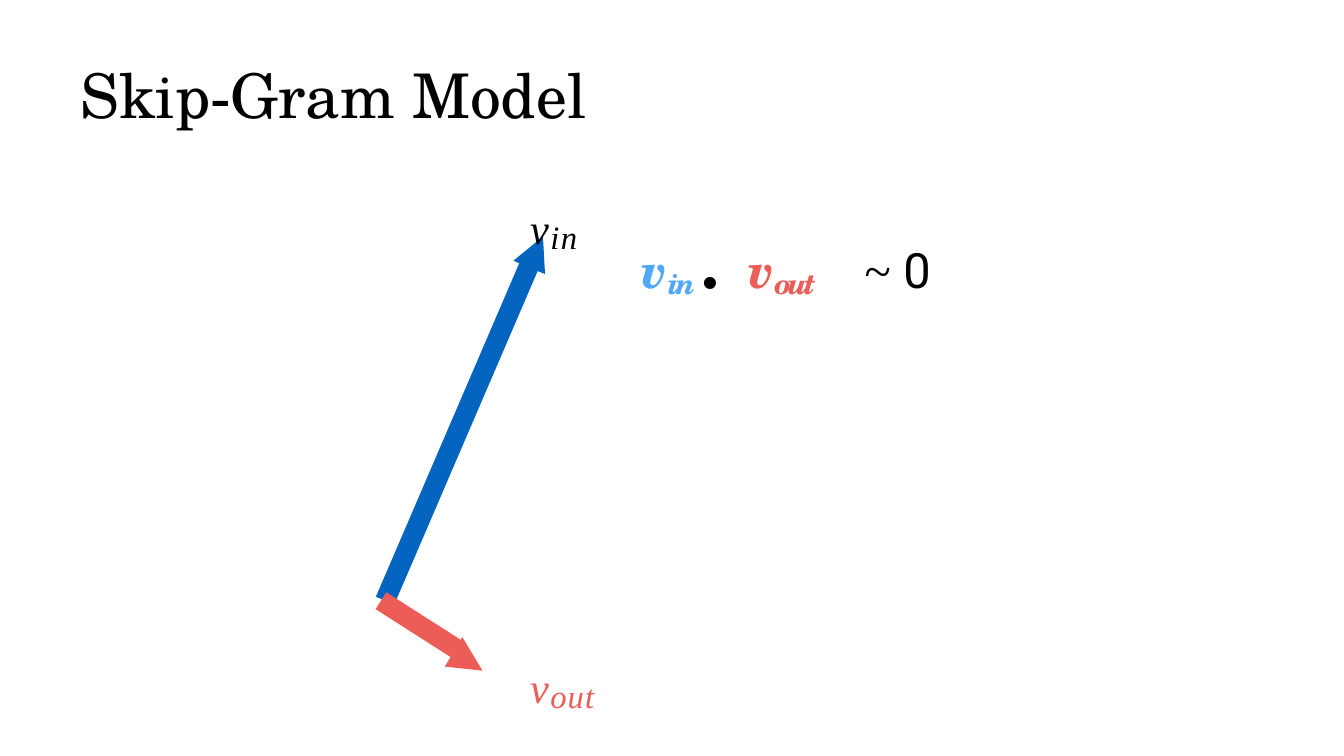
from lxml import etree
from pptx import Presentation, util as u
from pptx.dml.color import RGBColor
from pptx.enum import shapes, text
from pptx.oxml.ns import qn

PX = 4572  # EMU in one px, 200 px to the inch
COLORS = {"black": "000000", "blue": "0365C0", "sky": "51A7F9", "red": "EC5D57"}
SERIF, SCHOLA, SANS = "Times New Roman", "TeX Gyre Schola", "Roboto"


def px(value):
    return u.Emu(value * PX)


def color(name):
    return RGBColor.from_string(COLORS[name])


def add_text_box(slide, box, runs, anchor=text.MSO_ANCHOR.TOP):
    """Each run is (text, size, font, color, bold, italic, baseline %, spacing pt)."""
    shape = slide.shapes.add_textbox(*map(px, box))
    frame = shape.text_frame
    frame.word_wrap = True
    frame.vertical_anchor = anchor
    paragraph = frame.paragraphs[0]
    for words, size, font, name, bold, italic, baseline, spacing in runs:
        run = paragraph.add_run()
        run.text = words
        run.font.size = u.Pt(size)
        run.font.name = font
        run.font.color.rgb = color(name)
        run.font.bold, run.font.italic = bold, italic
    for properties, run in zip(shape.element.iter(qn("a:rPr")), runs):
        properties.set("baseline", str(round(run[6] * 1000)))
        properties.set("spc", str(round(run[7] * 100)))
    return shape


def fit_tightly(shape, space_before):
    frame = shape.text_frame
    frame.margin_left = frame.margin_right = frame.margin_bottom = 0
    frame.margin_top = px(2)
    frame.auto_size = text.MSO_AUTO_SIZE.SHAPE_TO_FIT_TEXT
    paragraph = frame.paragraphs[0]
    paragraph.space_before = u.Pt(space_before)
    properties = shape.element.find(".//" + qn("a:pPr"))
    properties.set("marL", str(px(2)))
    return paragraph, properties


def add_title(slide, box):
    run = ("Skip-Gram Model", 33, SCHOLA, "black", False, False, 0, 0)
    add_text_box(slide, box, [run], text.MSO_ANCHOR.MIDDLE)


def add_vector(slide, origin, shaft_end, head, name):
    """Draw a thick shaft and its arrowhead; points are relative to origin."""
    left, top = origin
    shaft = slide.shapes.add_connector(
        shapes.MSO_CONNECTOR.STRAIGHT, px(left), px(top),
        px(left + shaft_end[0]), px(top + shaft_end[1]))
    shaft.line.color.rgb = color(name)
    shaft.line.width = u.Pt(10.72)
    etree.SubElement(shaft.element.spPr, qn("a:effectLst"))

    points = [(left + x, top + y) for x, y in head]
    builder = slide.shapes.build_freeform(*points[0], scale=PX)
    builder.add_line_segments(points[1:], close=True)
    arrowhead = builder.convert_to_shape()
    arrowhead.shadow.inherit = False
    arrowhead.fill.solid()
    arrowhead.fill.fore_color.rgb = color(name)
    arrowhead.line.fill.background()


def add_vector_label(slide, box, subscript, name, spacing):
    runs = [("v", 39.2, SERIF, name, False, True, 7, 0.7),
            (subscript, 17.5, SERIF, name, False, True, 0, spacing)]
    fit_tightly(add_text_box(slide, box, runs), 0.6)


def add_dot_product(slide, box):
    runs = [("v", 26.1, SCHOLA, "sky", True, True, 0, -1),
            ("in", 26.3, SCHOLA, "sky", True, True, -12, -1.5),
            (" ", 26.3, SCHOLA, "sky", True, True, -12, 0),
            (". ", 37.5, SCHOLA, "black", True, True, 0, 1),
            ("v", 26.1, SCHOLA, "red", True, True, 0, -1.2),
            ("out\t", 26.3, SCHOLA, "red", True, True, -12, -1.7),
            ("~ ", 26.1, SERIF, "black", False, False, 0, 0),
            ("0", 26.1, SANS, "black", False, False, 0, 0)]
    shape = add_text_box(slide, box, runs, text.MSO_ANCHOR.MIDDLE)
    paragraph, properties = fit_tightly(shape, 0.4)
    paragraph.alignment = text.PP_ALIGN.CENTER
    tabs = etree.SubElement(properties, qn("a:tabLst"))
    etree.SubElement(tabs, qn("a:tab"), pos=str(px(334)), algn="l")


def main():
    presentation = Presentation()
    presentation.slide_width, presentation.slide_height = px(2000), px(1125)
    slide = presentation.slides.add_slide(presentation.slide_layouts[6])
    add_vector(slide, (573, 894), (215, -500),
               [(235, -542), (191, -506), (238, -486)], "blue")
    add_vector(slide, (567, 894), (119, 76),
               [(121, 54), (95, 98), (151, 104)], "red")
    add_vector_label(slide, (787, 261, 78, 90), "in", "black", 0.8)
    add_vector_label(slide, (787, 943, 104, 90), "out", "red", 0.6)
    add_dot_product(slide, (918, 323, 500, 128))
    add_title(slide, (100, 45, 1800, 188))
    presentation.save("out.pptx")


if __name__ == "__main__":
    main()
